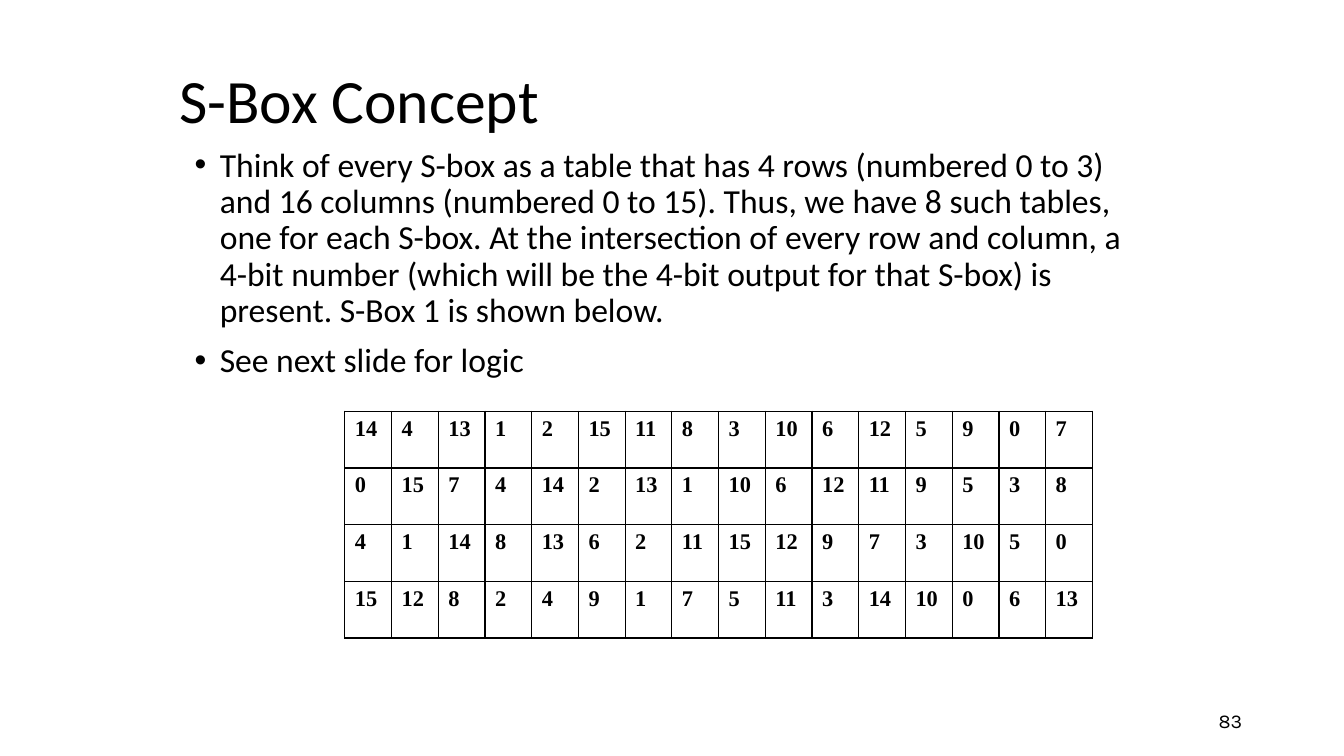
import lxml.etree
import pptx
import pptx.dml.color
import pptx.enum.text
import pptx.oxml.ns
import pptx.util

Inches, Pt = pptx.util.Inches, pptx.util.Pt
qn = pptx.oxml.ns.qn
ALIGN = pptx.enum.text.PP_ALIGN
ANCHOR = pptx.enum.text.MSO_ANCHOR

COLORS = {"ink": "000000"}
TITLE_FONT = {"name": "Calibri", "size": Pt(44), "bold": False}
BODY_FONT = {"name": "Calibri", "size": Pt(24)}
NUMBER_FONT = {"name": "Karla", "size": Pt(14)}
CELL_FONT = {"name": "Times New Roman", "size": Pt(16), "bold": True}

BULLETS = [
    "Think of every S-box as a table that has 4 rows (numbered 0 to 3) and 16 columns "
    "(numbered 0 to 15). Thus, we have 8 such tables, one for each S-box. At the "
    "intersection of every row and column, a 4-bit number (which will be the 4-bit "
    "output for that S-box) is present. S-Box 1 is shown below.",
    "See next slide for logic",
]
S_BOX_1 = [
    [14, 4, 13, 1, 2, 15, 11, 8, 3, 10, 6, 12, 5, 9, 0, 7],
    [0, 15, 7, 4, 14, 2, 13, 1, 10, 6, 12, 11, 9, 5, 3, 8],
    [4, 1, 14, 8, 13, 6, 2, 11, 15, 12, 9, 7, 3, 10, 5, 0],
    [15, 12, 8, 2, 4, 9, 1, 7, 5, 11, 3, 14, 10, 0, 6, 13],
]


def set_values(target, values):
    for name, value in values.items():
        setattr(target, name, value)


def format_font(font, values):
    set_values(font, values)
    font.color.rgb = pptx.dml.color.RGBColor.from_string(COLORS["ink"])


def place(shape, left, top, width, height):
    set_values(shape, {"left": Inches(left), "top": Inches(top),
                       "width": Inches(width), "height": Inches(height)})


def indent(para, hanging):
    """Give the paragraph a hanging indent, in inches."""
    properties = para._p.get_or_add_pPr()
    properties.set("marL", str(Inches(hanging)))
    properties.set("indent", str(-Inches(hanging)))
    return properties


def add_title(page, text):
    title = page.shapes.title
    place(title, 1.68, 0.23, 11.36, 1.6)
    frame = title.text_frame
    frame.text = text
    set_values(frame, {"vertical_anchor": ANCHOR.MIDDLE, "word_wrap": True,
                       "auto_size": pptx.enum.text.MSO_AUTO_SIZE.NONE})
    para = frame.paragraphs[0]
    set_values(para, {"alignment": ALIGN.LEFT, "line_spacing": 0.9})
    format_font(para.runs[0].font, TITLE_FONT)


def add_bullets(page, texts):
    body = page.placeholders[1]
    place(body, 1.83, 1.42, 9.58, 2.48)
    frame = body.text_frame
    set_values(frame, {"vertical_anchor": ANCHOR.TOP, "word_wrap": True,
                       "auto_size": pptx.enum.text.MSO_AUTO_SIZE.NONE})
    for index, text in enumerate(texts):
        para = frame.add_paragraph() if index else frame.paragraphs[0]
        properties = indent(para, 0.25)
        lxml.etree.SubElement(properties, qn("a:buFont"), typeface="Arial")
        lxml.etree.SubElement(properties, qn("a:buChar"), char="•")
        set_values(para, {"alignment": ALIGN.LEFT, "line_spacing": 0.9,
                          "space_before": Pt(10 if index else 0)})
        span = para.add_run()
        span.text = text
        format_font(span.font, BODY_FONT)


def add_borders(cell):
    properties = cell._tc.get_or_add_tcPr()
    for side in ("lnL", "lnR", "lnT", "lnB"):
        line = lxml.etree.SubElement(properties, qn("a:" + side), w=str(Pt(1)))
        fill = lxml.etree.SubElement(line, qn("a:solidFill"))
        lxml.etree.SubElement(fill, qn("a:srgbClr"), val=COLORS["ink"])


def add_s_box(page, values):
    width, height = Inches(7.42), Inches(2.25)
    frame = page.shapes.add_table(len(values), len(values[0]),
                                  Inches(3.42), Inches(4.08), width, height)
    table = frame.table
    set_values(table, {"first_row": False, "horz_banding": False})
    for row_index, row in enumerate(values):
        for column_index, value in enumerate(row):
            cell = table.cell(row_index, column_index)
            add_borders(cell)
            cell.fill.background()
            para = cell.text_frame.paragraphs[0]
            indent(para, 0.38)
            para.alignment = ALIGN.JUSTIFY
            span = para.add_run()
            span.text = str(value)
            format_font(span.font, CELL_FONT)


def add_page_number(page, number):
    box = page.shapes.add_textbox(Inches(9.42), Inches(6.95), Inches(3), Inches(0.4))
    frame = box.text_frame
    set_values(frame, {"word_wrap": True, "vertical_anchor": ANCHOR.MIDDLE})
    para = frame.paragraphs[0]
    para.alignment = ALIGN.RIGHT
    span = para.add_run()
    span.text = number
    format_font(span.font, NUMBER_FONT)


def main():
    deck = pptx.Presentation()
    set_values(deck, {"slide_width": Inches(13.33), "slide_height": Inches(7.5)})
    page = deck.slides.add_slide(deck.slide_layouts[1])
    add_page_number(page, "83")
    add_title(page, "S-Box Concept")
    add_bullets(page, BULLETS)
    add_s_box(page, S_BOX_1)
    deck.save("out.pptx")


if __name__ == "__main__":
    main()
